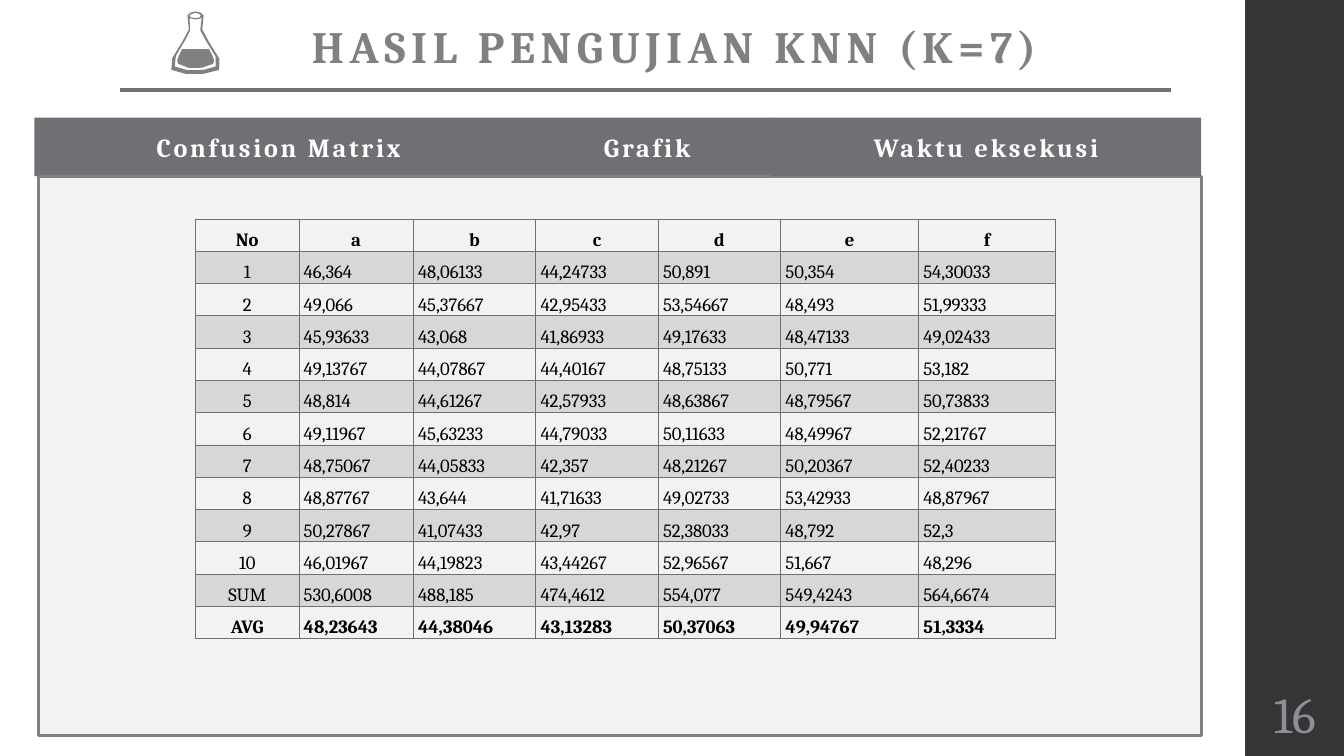
"""Build the slide with the KNN (K=7) test results table."""
import lxml.etree
import pptx
import pptx.dml.color
import pptx.enum.shapes
import pptx.enum.text
import pptx.oxml
import pptx.oxml.ns
import pptx.util

Cm = pptx.util.Cm
Pt = pptx.util.Pt
RGB = pptx.dml.color.RGBColor
ALIGN = pptx.enum.text.PP_ALIGN
ANCHOR = pptx.enum.text.MSO_ANCHOR
RECT = pptx.enum.shapes.MSO_SHAPE.RECTANGLE
qn = pptx.oxml.ns.qn

DARK = RGB(0x35, 0x35, 0x37)
SLATE = RGB(0x6F, 0x6F, 0x74)
GREY = RGB(0x80, 0x80, 0x80)
PALE = RGB(0xF2, 0xF2, 0xF2)
MUTED = RGB(0x8E, 0x8E, 0x94)
WHITE = RGB(0xFF, 0xFF, 0xFF)
BLACK = RGB(0, 0, 0)


def write(tf, text, color, size, bold=False, spacing=0, align=ALIGN.CENTER, leading=1.0):
    p = tf.paragraphs[0]
    for name, value in {"alignment": align, "line_spacing": leading}.items():
        setattr(p, name, value)
    r = p.add_run()
    r.text = text
    for name, value in {"name": "Cambria", "size": Pt(size), "bold": bold}.items():
        setattr(r.font, name, value)
    r.font.color.rgb = color
    if spacing:
        r._r.get_or_add_rPr().set("spc", str(spacing * 100))


def flatten(start, segments, steps=3):
    points = [start]
    for seg in segments:
        if len(seg) == 2:
            points.append(seg)
            continue
        x0, y0 = points[-1]
        x1, y1, x2, y2, x3, y3 = seg
        for i in range(1, steps + 1):
            t = i / steps
            a, b, c, d = (1 - t) ** 3, 3 * t * (1 - t) ** 2, 3 * t * t * (1 - t), t ** 3
            points.append((a * x0 + b * x1 + c * x2 + d * x3, a * y0 + b * y1 + c * y2 + d * y3))
    return [(x * 1000, y * 1000) for x, y in points]


prs = pptx.Presentation()
prs.slide_width = Cm(50.8)
prs.slide_height = Cm(28.58)
s = prs.slides.add_slide(prs.slide_layouts[6])

sidebar = s.shapes.add_shape(RECT, Cm(47.06), Cm(0), Cm(3.81), Cm(28.58))
sidebar.shadow.inherit = False
sidebar.fill.solid()
sidebar.fill.fore_color.rgb = DARK
sidebar.line.fill.background()

number = s.shapes.add_textbox(Cm(47.04), Cm(25.73), Cm(3.81), Cm(2.46))
tf = number.text_frame
for name, value in {
    "word_wrap": True, "vertical_anchor": ANCHOR.MIDDLE,
    "margin_left": Cm(0.13), "margin_right": Cm(0.13),
}.items():
    setattr(tf, name, value)
write(tf, "16", MUTED, 54)

title = s.shapes.add_textbox(Cm(5.16), Cm(0.56), Cm(40.11), Cm(3.12))
tf = title.text_frame
for name, value in {"word_wrap": True, "margin_top": Cm(0.15)}.items():
    setattr(tf, name, value)
write(tf, " HASIL PENGUJIAN KNN (K=7)", GREY, 48, True, 6)

flask = [
    ((3.11, 0.73), [
        (3.16, 0.83, 3.22, 0.93, 3.17, 0.95), (3.04, 1.03, 2.78, 1.05, 2.65, 0.95),
        (2.61, 0.92, 2.66, 0.83, 2.71, 0.73),
    ]),
    ((2.82, 0.27), [
        (2.83, 0.45), (2.84, 0.52, 2.5, 0.91, 2.6, 0.99),
        (2.76, 1.08, 3.06, 1.06, 3.21, 0.99), (3.34, 0.92, 2.98, 0.54, 2.98, 0.45),
        (3, 0.27), (2.91, 0.29),
    ]),
    ((2.91, 0.19), [
        (2.84, 0.21), (2.82, 0.23), (2.84, 0.26), (2.91, 0.27),
        (2.97, 0.26), (2.99, 0.23), (2.97, 0.21),
    ]),
    ((2.91, 0.17), [
        (2.99, 0.19), (3.03, 0.23), (3.01, 0.44),
        (3.01, 0.54, 3.42, 0.97, 3.26, 1.04), (3.08, 1.12, 2.73, 1.14, 2.55, 1.04),
        (2.43, 0.95, 2.81, 0.53, 2.81, 0.44), (2.79, 0.23), (2.83, 0.19),
    ]),
]
contours = [flatten(start, segments) for start, segments in flask]
builder = s.shapes.build_freeform(*contours[0][0], scale=Cm(2.54) / 1000)
builder.add_line_segments(contours[0][1:], close=True)
for points in contours[1:]:
    builder.move_to(*points[0])
    builder.add_line_segments(points[1:], close=True)
icon = builder.convert_to_shape()
icon.shadow.inherit = False
icon.fill.solid()
icon.fill.fore_color.rgb = GREY
icon.line.fill.background()

rule = s.shapes.add_connector(
    pptx.enum.shapes.MSO_CONNECTOR.STRAIGHT, Cm(4.52), Cm(3.4), Cm(44.27), Cm(3.4))
rule.line.color.rgb = SLATE
rule.line.width = Pt(4.5)
lxml.etree.SubElement(rule._element.spPr, qn("a:effectLst"))

boxes = [
    (1.3, 4.45, 18.47, 2.21, SLATE, None, "Confusion Matrix"),
    (19.76, 4.45, 9.41, 2.21, SLATE, None, "Grafik"),
    (1.45, 6.67, 43.97, 21.13, PALE, GREY, None),
    (1.63, 7.04, 43.46, 20.27, PALE, None, None),
    (29.15, 4.45, 16.25, 2.21, SLATE, None, "Waktu eksekusi"),
    (1.52, 7.39, 43.46, 20.27, PALE, None, None),
]
for x, y, w, h, fill, outline, label in boxes:
    sp = s.shapes.add_shape(RECT, Cm(x), Cm(y), Cm(w), Cm(h))
    sp.shadow.inherit = False
    sp.fill.solid()
    sp.fill.fore_color.rgb = fill
    if outline:
        sp.line.color.rgb = outline
        sp.line.width = Pt(3)
    else:
        sp.line.fill.background()
    if label:
        sp.text_frame.vertical_anchor = ANCHOR.MIDDLE
        write(sp.text_frame, label, WHITE, 28, True, 3)

rows = [line.split() for line in """No a b c d e f
1 46,364 48,06133 44,24733 50,891 50,354 54,30033
2 49,066 45,37667 42,95433 53,54667 48,493 51,99333
3 45,93633 43,068 41,86933 49,17633 48,47133 49,02433
4 49,13767 44,07867 44,40167 48,75133 50,771 53,182
5 48,814 44,61267 42,57933 48,63867 48,79567 50,73833
6 49,11967 45,63233 44,79033 50,11633 48,49967 52,21767
7 48,75067 44,05833 42,357 48,21267 50,20367 52,40233
8 48,87767 43,644 41,71633 49,02733 53,42933 48,87967
9 50,27867 41,07433 42,97 52,38033 48,792 52,3
10 46,01967 44,19823 43,44267 52,96567 51,667 48,296
SUM 530,6008 488,185 474,4612 554,077 549,4243 564,6674
AVG 48,23643 44,38046 43,13283 50,37063 49,94767 51,3334""".splitlines()]
widths = [3.91, 4.32, 4.63, 4.63, 4.63, 5.21, 5.18]
last = len(rows) - 1

table = s.shapes.add_table(
    len(rows), len(widths), Cm(7.39), Cm(8.28), Cm(sum(widths)), Cm(1.22 * len(rows))).table
for name, value in {"first_row": False, "horz_banding": False}.items():
    setattr(table, name, value)
for column, width in zip(table.columns, widths):
    column.width = Cm(width)

for i, row in enumerate(rows):
    table.rows[i].height = Cm(1.22)
    for j, text in enumerate(row):
        cell = table.cell(i, j)
        for name, value in {
            "margin_left": Cm(0.18), "margin_right": Cm(0.18),
            "margin_top": 0, "margin_bottom": 0,
            "vertical_anchor": ANCHOR.BOTTOM,
        }.items():
            setattr(cell, name, value)
        align = ALIGN.CENTER if i == 0 or j == 0 else ALIGN.LEFT
        write(cell.text_frame, text, BLACK, 20, i in (0, last), align=align, leading=1.43)
        tcPr = cell._tc.get_or_add_tcPr()
        if i % 2:
            cell.fill.solid()
            cell.fill.fore_color.rgb = SLATE
            color = tcPr.find(".//" + qn("a:srgbClr"))
            lxml.etree.SubElement(color, qn("a:alpha")).set("val", "20000")
        else:
            cell.fill.background()
        for k, side in enumerate(("lnL", "lnR", "lnT", "lnB")):
            tcPr.insert(k, pptx.oxml.parse_xml(
                f'<a:{side} {pptx.oxml.ns.nsdecls("a")} w="{Pt(1)}"><a:solidFill>'
                f'<a:srgbClr val="{SLATE}"/></a:solidFill></a:{side}>'))

prs.save("out.pptx")
